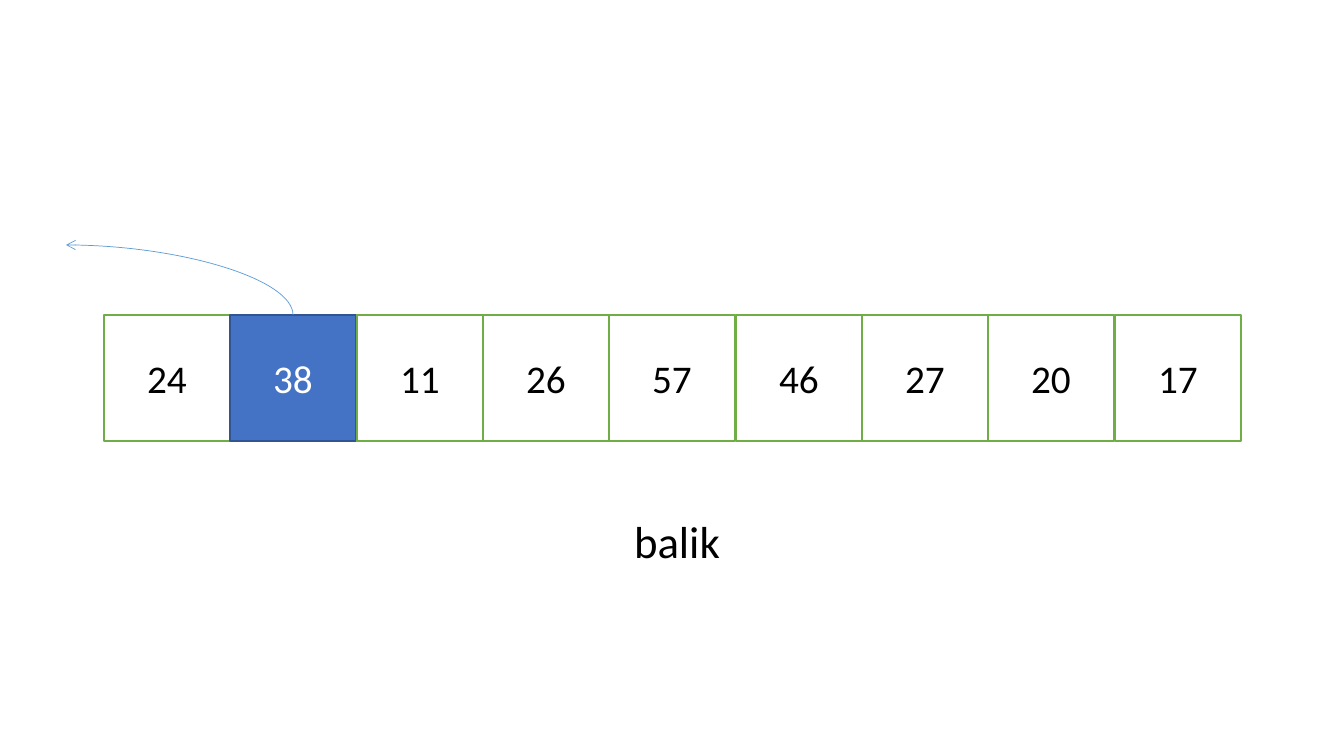
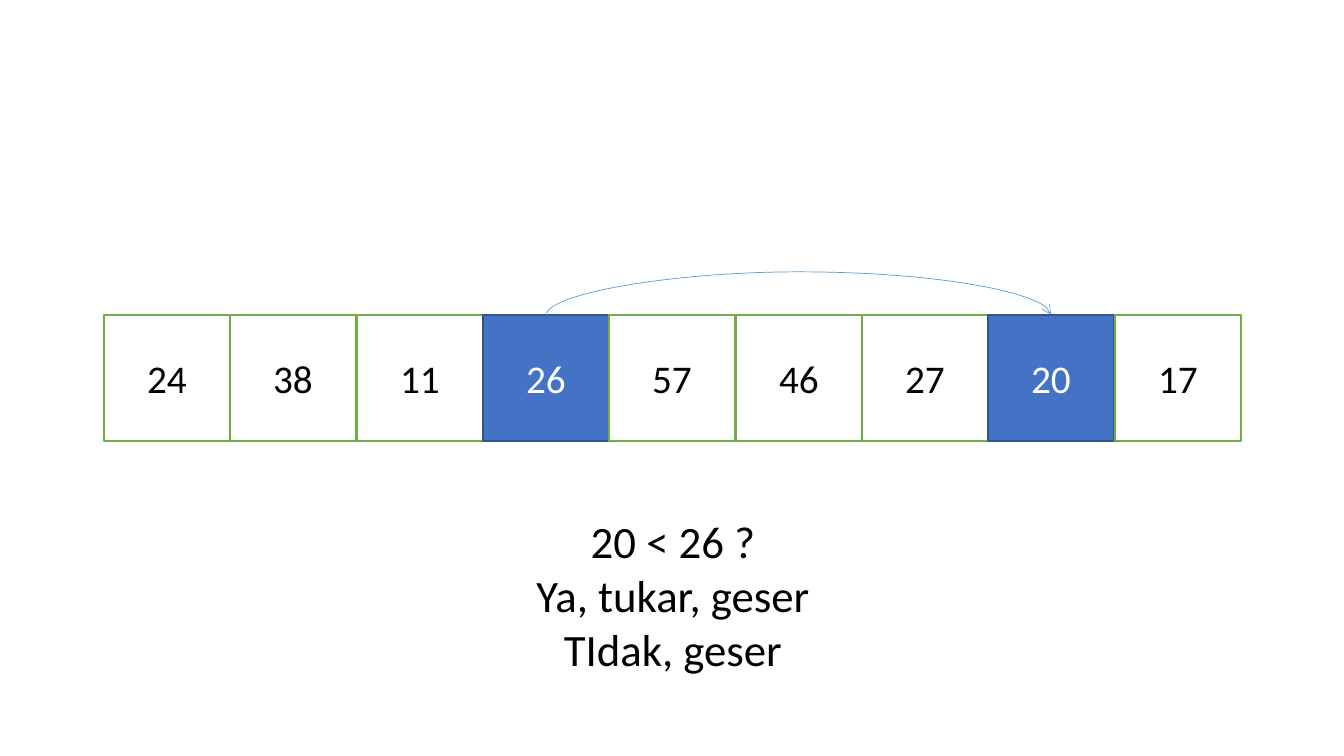
from dataclasses import dataclass

from lxml import etree
from pptx import Presentation
from pptx.dml.color import RGBColor
from pptx.enum.shapes import MSO_CONNECTOR, MSO_SHAPE
from pptx.enum.text import MSO_ANCHOR, MSO_AUTO_SIZE, PP_ALIGN
from pptx.oxml.ns import qn
from pptx.util import Pt

CURVE = MSO_CONNECTOR.CURVE
RECT = MSO_SHAPE.RECTANGLE
MIDDLE = MSO_ANCHOR.MIDDLE
GROW = MSO_AUTO_SIZE.SHAPE_TO_FIT_TEXT
CENTER = PP_ALIGN.CENTER

WIDE, HIGH = 1344, 756
SCALE = 12192000 / WIDE
TOP = 0  # connection site

VALUES = [24, 38, 11, 26, 57, 46, 27, 20, 17]
ROW_X, ROW_Y, ROW_W = 104, 315, 1137
SIDE = ROW_W // len(VALUES)


def emu(px):
    return round(px * SCALE)


@dataclass(frozen=True)
class Theme:
    font: str = "Calibri"
    ink: str = "000000"
    paper: str = "FFFFFF"
    edge: str = "70AD47"
    mark: str = "4472C4"
    rim: str = "325491"
    arrow: str = "5B9BD5"
    value: int = 28
    note: int = 32
    line: float = 1
    thin: float = 0.5


class Deck:
    def __init__(self, theme):
        self.theme = theme
        self.show = Presentation()
        self.show.slide_width = emu(WIDE)
        self.show.slide_height = emu(HIGH)
        self.slide = None

    def start(self):
        self.slide = self.show.slides.add_slide(self.show.slide_layouts[6])

    def label(self, frame, lines, size, color):
        frame.word_wrap = True
        for i, line in enumerate(lines):
            para = frame.add_paragraph() if i else frame.paragraphs[0]
            para.alignment = CENTER
            run = para.add_run()
            run.text = line
            run.font.name = self.theme.font
            run.font.size = Pt(size)
            run.font.color.rgb = RGBColor.from_string(color)

    def stroke(self, line, color, width):
        line.color.rgb = RGBColor.from_string(color)
        line.width = Pt(width)

    def cell(self, x, y, value, marked):
        t = self.theme
        fill, edge, ink = (t.mark, t.rim, t.paper) if marked else (t.paper, t.edge, t.ink)
        box = self.slide.shapes.add_shape(RECT, emu(x), emu(y), emu(SIDE), emu(SIDE))
        box.shadow.inherit = False
        box.fill.solid()
        box.fill.fore_color.rgb = RGBColor.from_string(fill)
        self.stroke(box.line, edge, t.line)
        box.text_frame.vertical_anchor = MIDDLE
        self.label(box.text_frame, [str(value)], t.value, ink)
        return box

    def row(self, marked):
        """Draw all values side by side and return their boxes."""
        return [
            self.cell(ROW_X + round(i * ROW_W / len(VALUES)), ROW_Y, value, i in marked)
            for i, value in enumerate(VALUES)
        ]

    def note(self, x, y, w, h, lines):
        box = self.slide.shapes.add_textbox(emu(x), emu(y), emu(w), emu(h))
        self.label(box.text_frame, lines, self.theme.note, self.theme.ink)
        box.text_frame.auto_size = GROW

    def arc(self, source, target=None, point=None, rise=0):
        """Curve up from a box to the top of another box, or to a free point."""
        x1, y1 = source.left + source.width // 2, source.top
        if target:
            x2, y2 = target.left + target.width // 2, target.top
        else:
            x2, y2 = map(emu, point)
        link = self.slide.shapes.add_connector(CURVE, x1, y1, x2, y2)
        link.begin_connect(source, TOP)
        if target:
            link.end_connect(target, TOP)
        self.stroke(link.line, self.theme.arrow, self.theme.thin)

        # The frame is turned a quarter, so its width runs up the slide.
        w, h = max(abs(y2 - y1), emu(1)), abs(x2 - x1)
        link.left, link.top = (x1 + x2 - w) // 2, (y1 + y2 - h) // 2
        link.width, link.height = w, h
        props = link._element.spPr
        frame = props.find(qn("a:xfrm"))
        frame.set("rot", str(270 * 60000))
        frame.set("flipH", "0")
        frame.set("flipV", "1" if x2 < x1 else "0")
        shape = props.find(qn("a:prstGeom"))
        if target:
            guides = shape.find(qn("a:avLst"))
            ratio = round(emu(rise) / w * 100000)
            etree.SubElement(guides, qn("a:gd"), name="adj1", fmla=f"val {ratio}")
        else:
            shape.set("prst", "curvedConnector2")
        etree.SubElement(props.find(qn("a:ln")), qn("a:tailEnd"), type="arrow")
        etree.SubElement(props, qn("a:effectLst"))


def main():
    deck = Deck(Theme())

    deck.start()
    cells = deck.row({1})
    deck.note(447, 509, 460, 65, ["balik"])
    deck.arc(cells[1], point=(66, 245))

    deck.start()
    cells = deck.row({3, 7})
    deck.note(443, 509, 460, 173, ["20 < 26 ?", "Ya, tukar, geser", "TIdak, geser"])
    deck.arc(cells[3], cells[7], rise=44)

    deck.show.save("out.pptx")


if __name__ == "__main__":
    main()
